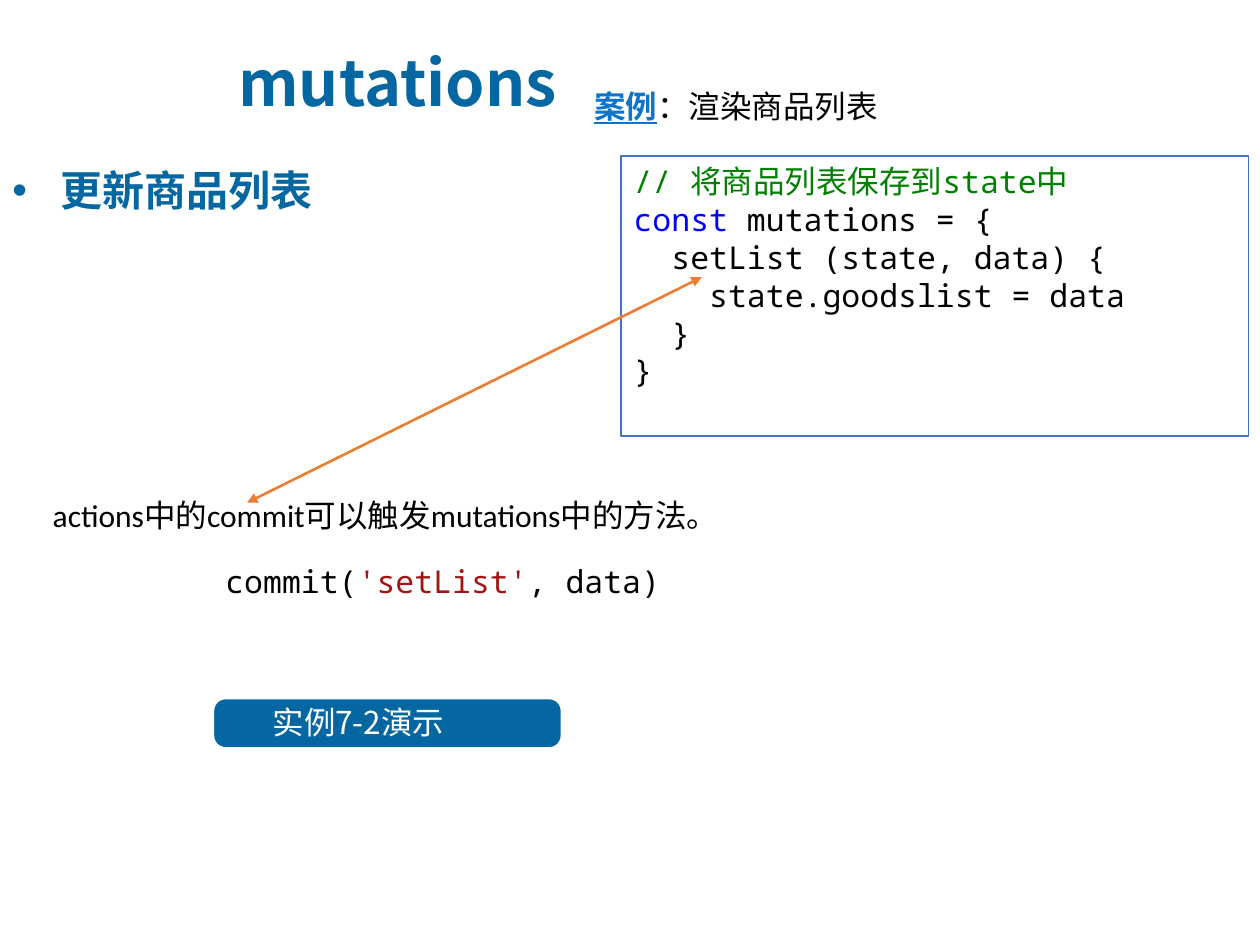
from pptx import Presentation
from pptx.dml.color import RGBColor
from pptx.enum.shapes import MSO_CONNECTOR as Connector, MSO_SHAPE as Shape
from pptx.enum.text import MSO_ANCHOR as Anchor, MSO_AUTO_SIZE as AutoSize, PP_ALIGN as Align
from pptx.oxml.ns import qn
from pptx.util import Inches, Pt
from lxml.etree import SubElement

BLUE, BLACK, WHITE = "0567A2", "000000", "FFFFFF"
CJK, MONO = "Noto Sans CJK SC", "Noto Sans Mono"


def color(value):
    return RGBColor.from_string(value)


def write(frame, lines, size=18, font="Calibri", bold=False, align=Align.LEFT,
          spacing=None, before=0):
    """Fill a frame; each line is a list of (text, colour, optional format) spans."""
    for index, spans in enumerate(lines):
        para = frame.add_paragraph() if index else frame.paragraphs[0]
        para.alignment, para.line_spacing = align, spacing
        para.space_before = Pt(before)
        for text, fill, *extra in spans:
            span = para.add_run()
            span.text = text
            style = {"name": font, "size": Pt(size), "bold": bold}
            for key, value in (style | (extra[0] if extra else {})).items():
                setattr(span.font, key, value)
            span.font.color.rgb = color(fill)
            SubElement(span.font._element, qn("a:ea"), typeface=CJK)


def add_bullet(para, indent):
    props = para._p.get_or_add_pPr()
    props.set("marL", str(indent))
    props.set("indent", str(-indent))
    SubElement(props, qn("a:buFont"), typeface="Arial")
    SubElement(props, qn("a:buChar"), char="•")


class SlideBuilder:
    def __init__(self, deck):
        self.page = deck.slides.add_slide(deck.slide_layouts[5])

    def title(self, text, place):
        title = self.page.shapes.title
        title.left, title.top, title.width, title.height = map(Inches, place)
        frame = title.text_frame
        frame.auto_size, frame.vertical_anchor = AutoSize.NONE, Anchor.MIDDLE
        write(frame, [[(text, BLUE)]], size=36, font=CJK, bold=True)

    def text(self, lines, place, wrap=True, **style):
        frame = self.page.shapes.add_textbox(*map(Inches, place)).text_frame
        frame.word_wrap = wrap
        write(frame, lines, **style)
        return frame

    def shape(self, kind, place, fill, line, width):
        box = self.page.shapes.add_shape(kind, *map(Inches, place))
        box.shadow.inherit = False
        box.fill.solid()
        box.fill.fore_color.rgb = color(fill)
        box.line.color.rgb = color(line)
        box.line.width = Pt(width)
        return box

    def double_arrow(self, start, end, fill, width):
        arrow = self.page.shapes.add_connector(
            Connector.STRAIGHT, *map(Inches, start + end))
        arrow.line.color.rgb = color(fill)
        arrow.line.width = Pt(width)
        for tag in ("a:headEnd", "a:tailEnd"):
            SubElement(arrow.line._get_or_add_ln(), qn(tag), type="triangle")
        SubElement(arrow._element.spPr, qn("a:effectLst"))


def main():
    deck = Presentation()
    deck.slide_width, deck.slide_height = Inches(10), Inches(7.5)
    slide = SlideBuilder(deck)

    slide.title("mutations", (1.79, 0.24, 8.21, 0.81))
    heading = slide.text([[("更新商品列表", BLUE)]], (0, 1.06, 2.6, 0.65),
                         wrap=False, size=24, bold=True, spacing=1.5, before=5)
    add_bullet(heading.paragraphs[0], Inches(0.38))
    slide.text([[("案例", "0D74C9", {"bold": True, "underline": True}),
                 ("：渲染商品列表", BLACK)]],
               (4.62, 0.34, 2.56, 0.61), font="Arial", spacing=2.0)

    code = slide.shape(Shape.RECTANGLE, (4.93, 1.24, 4.98, 2.22), WHITE, "4472C4", 1)
    code.text_frame.vertical_anchor = Anchor.TOP
    body = ["  setList (state, data) {", "    state.goodslist = data", "  }", "}"]
    write(code.text_frame,
          [[("// 将商品列表保存到state中", "008000")],
           [("const", "0000FF"), (" mutations = {", BLACK)],
           *([(line, BLACK)] for line in body)], font=MONO)

    slide.text([[("actions中的commit可以触发mutations中的方法。", BLACK)]],
               (0.32, 3.89, 9.07, 0.4))
    slide.double_arrow((1.96, 3.99), (5.57, 2.2), "ED7D31", 1.5)
    slide.text([[("commit(", BLACK), ("'setList'", "A31515"), (", data)", BLACK)]],
               (1.69, 4.41, 5.06, 0.4), font=MONO)

    button = slide.shape(Shape.ROUNDED_RECTANGLE, (1.69, 5.54, 2.77, 0.4), BLUE, WHITE, 1.5)
    button.adjustments[0] = 0.25
    slide.text([[("实例7-2演示", WHITE)]], (1.69, 5.53, 2.31, 0.4),
               font=CJK, align=Align.CENTER)

    deck.save("out.pptx")


if __name__ == "__main__":
    main()
